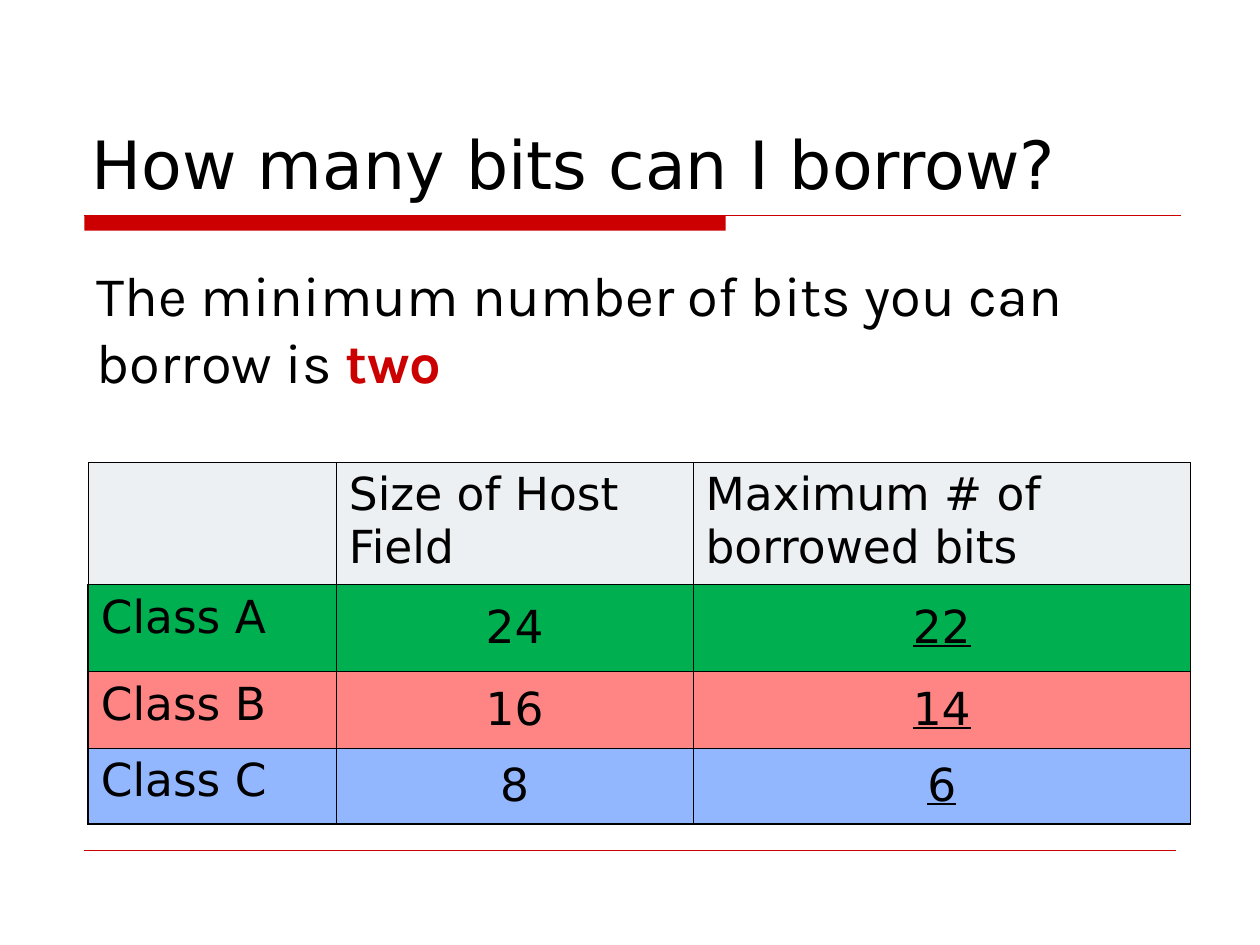
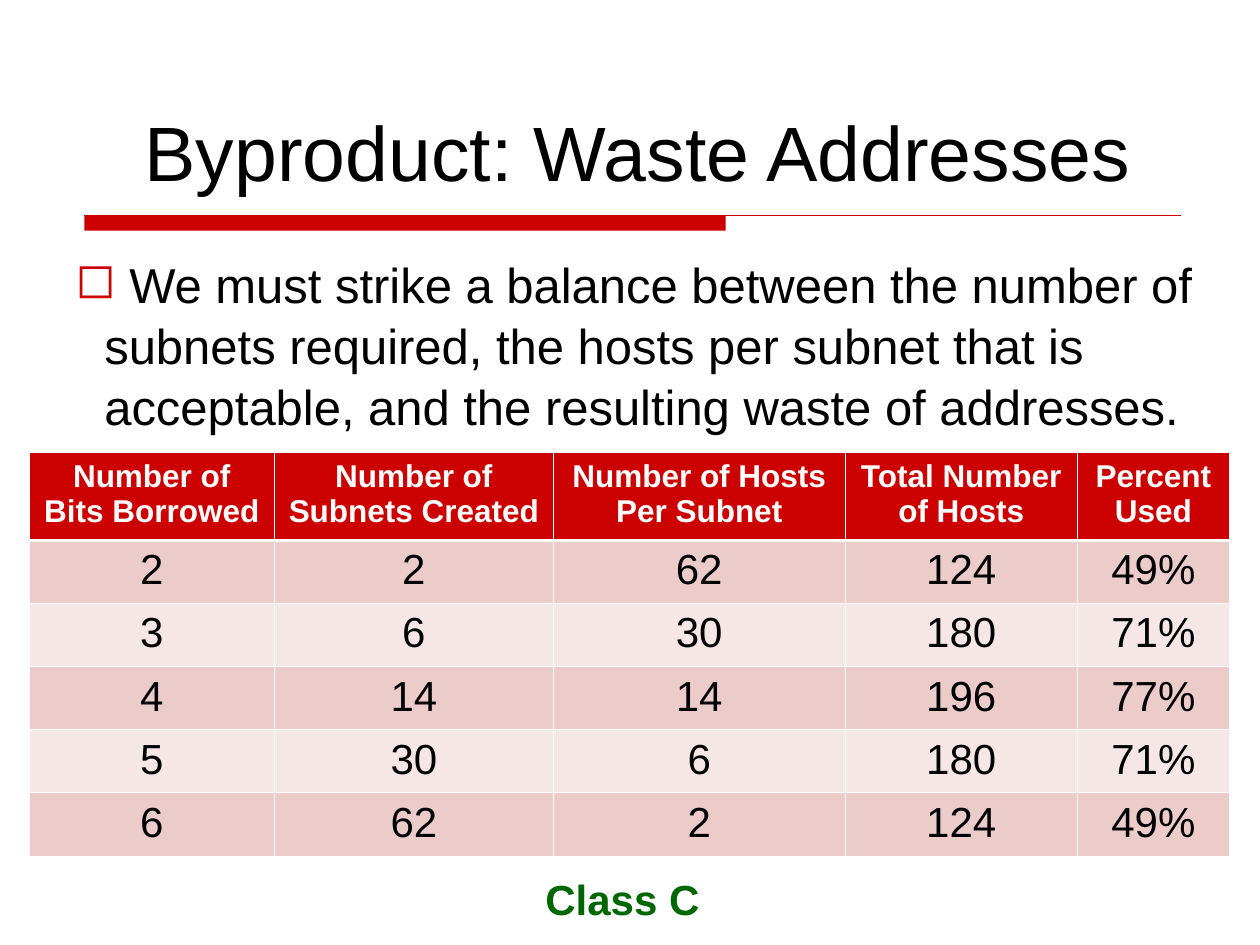
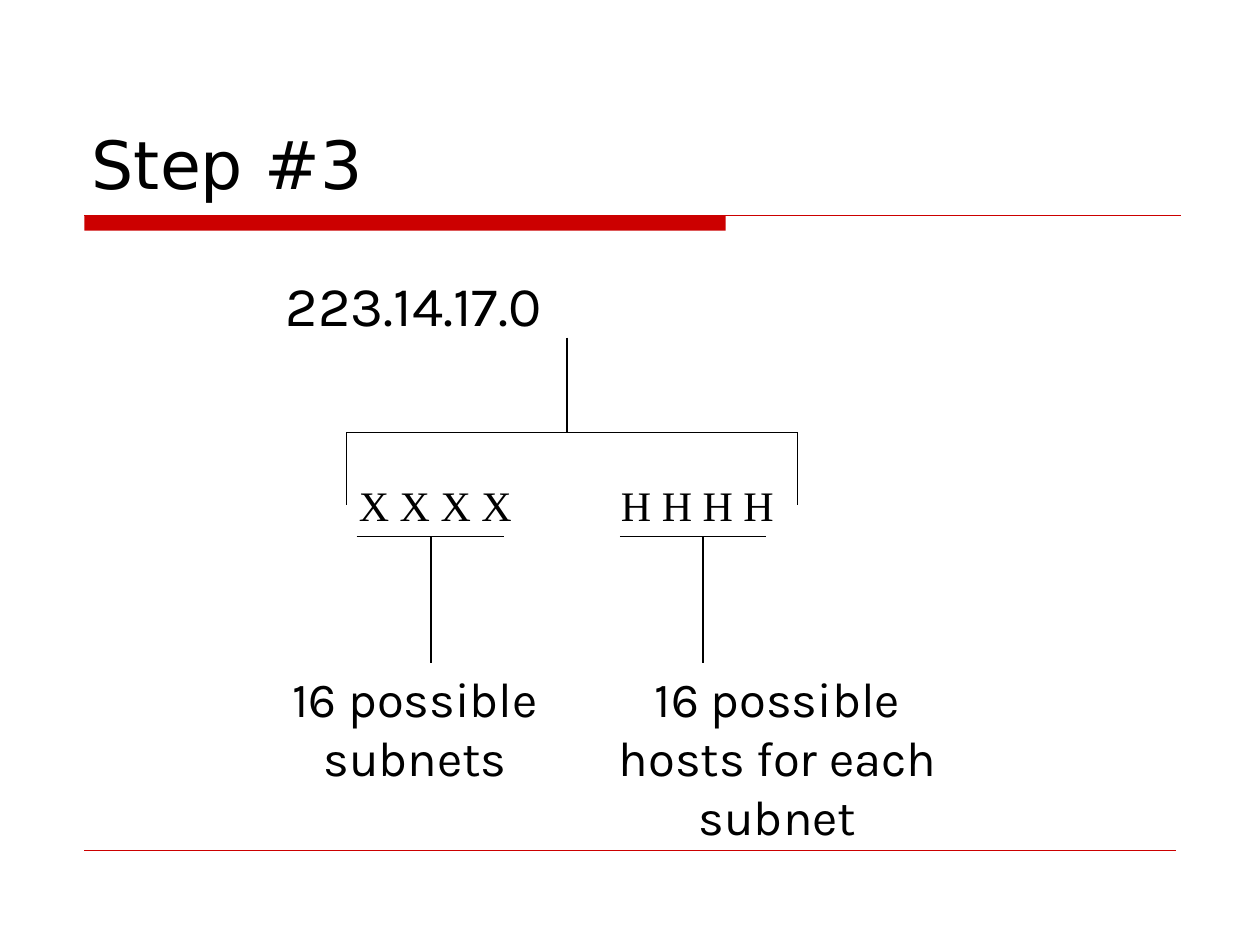
import pptx
import pptx.dml.color
import pptx.enum.shapes
import pptx.enum.text
import pptx.oxml
import pptx.oxml.ns
import pptx.util
from lxml import etree

Inches = pptx.util.Inches
Pt = pptx.util.Pt
ALIGN = pptx.enum.text.PP_ALIGN
ANCHOR = pptx.enum.text.MSO_ANCHOR
qn = pptx.oxml.ns.qn

COLORS = {
    "black": "000000", "white": "FFFFFF", "red": "CC0000", "green": "006600",
    "header": "EDF0F3", "class_a": "00B050", "class_b": "FF8585", "class_c": "93B7FF",
    "odd_row": "ECCBCB", "even_row": "F6E7E7",
}
TITLE_FONT, BODY_FONT, PLAIN_FONT, BITS_FONT = "DejaVu Sans", "Karla", "Arial", "Times New Roman"


def rgb(color):
    return pptx.dml.color.RGBColor.from_string(COLORS[color])


def format_run(run, font, size, color="black", bold=False, underline=False):
    run.font.name = font
    run.font.size = Pt(size)
    run.font.color.rgb = rgb(color)
    run.font.bold = bold
    run.font.underline = underline


def add_text(slide, text, left, top, width, height, font, size,
             color="black", bold=False, align=ALIGN.LEFT, anchor=ANCHOR.TOP):
    """Add a one-paragraph text box and return its paragraph."""
    frame = slide.shapes.add_textbox(
        Inches(left), Inches(top), Inches(width), Inches(height)).text_frame
    frame.word_wrap = True
    frame.vertical_anchor = anchor
    frame.text = text
    paragraph = frame.paragraphs[0]
    paragraph.alignment = align
    format_run(paragraph.runs[0], font, size, color, bold)
    return paragraph


def add_line(slide, x1, y1, x2, y2, color="black", width=0.75):
    line = slide.shapes.add_connector(
        pptx.enum.shapes.MSO_CONNECTOR.STRAIGHT,
        Inches(x1), Inches(y1), Inches(x2), Inches(y2))
    line.line.color.rgb = rgb(color)
    line.line.width = Pt(width)
    etree.SubElement(line._element.spPr, qn("a:effectLst"))


def add_title(slide, text):
    add_text(slide, text, 0.63, 0.33, 8.75, 1.33, TITLE_FONT, 38, anchor=ANCHOR.BOTTOM)


def new_slide(deck):
    """Add a blank slide with the red title band and the footer rule."""
    slide = deck.slides.add_slide(deck.slide_layouts[6])
    band = slide.shapes.add_shape(
        pptx.enum.shapes.MSO_SHAPE.RECTANGLE,
        Inches(0.67), Inches(1.71), Inches(5.09), Inches(0.12))
    band.shadow.inherit = False
    band.fill.solid()
    band.fill.fore_color.rgb = rgb("red")
    band.line.fill.background()
    add_line(slide, 0.67, 1.71, 9.37, 1.71, "red")
    add_line(slide, 0.67, 6.75, 9.33, 6.75, "red", 0.25)
    return slide


def set_bullet(paragraph, symbol, color, indent):
    properties = paragraph._p.get_or_add_pPr()
    properties.set("marL", str(Inches(indent)))
    properties.set("indent", str(-Inches(indent)))
    bullet_color = etree.SubElement(properties, qn("a:buClr"))
    etree.SubElement(bullet_color, qn("a:srgbClr"), val=COLORS[color])
    etree.SubElement(properties, qn("a:buChar"), char=symbol)


def set_borders(cell, color, **widths):
    """Draw all four borders, 0.45 pt wide unless widths names a side (L, R, T, B)."""
    properties = cell._tc.get_or_add_tcPr()
    for position, side in enumerate("LRTB"):
        border = etree.Element(qn(f"a:ln{side}"), w=str(Pt(widths.get(side, 0.45))))
        fill = etree.SubElement(border, qn("a:solidFill"))
        etree.SubElement(fill, qn("a:srgbClr"), val=COLORS[color])
        properties.insert(position, border)


def add_grid(slide, left, top, column_widths, row_heights):
    table = slide.shapes.add_table(
        len(row_heights), len(column_widths), Inches(left), Inches(top),
        Inches(sum(column_widths)), Inches(sum(row_heights))).table
    table.first_row = table.horz_banding = False
    for column, width in zip(table.columns, column_widths):
        column.width = Inches(width)
    for row, height in zip(table.rows, row_heights):
        row.height = Inches(height)
    return table


def fill_cell(cell, text, fill, font, size, align=ALIGN.LEFT, anchor=ANCHOR.TOP, **style):
    cell.fill.solid()
    cell.fill.fore_color.rgb = rgb(fill)
    cell.vertical_anchor = anchor
    cell.text = text
    paragraph = cell.text_frame.paragraphs[0]
    paragraph.alignment = align
    for run in paragraph.runs:
        format_run(run, font, size, **style)


def build_borrowing(deck):
    slide = new_slide(deck)
    add_title(slide, "How many bits can I borrow?")

    rows = [
        ("header", "", "Size of Host Field", "Maximum # of borrowed bits"),
        ("class_a", "Class A", "24", "22"),
        ("class_b", "Class B", "16", "14"),
        ("class_c", "Class C", "8", "6"),
    ]
    table = add_grid(slide, 0.7, 3.67, [1.97, 2.83, 3.95], [0.97, 0.69, 0.61, 0.6])
    for r, (fill, *texts) in enumerate(rows):
        for c, text in enumerate(texts):
            cell = table.cell(r, c)
            is_number = r > 0 and c > 0
            fill_cell(cell, text, fill, TITLE_FONT, 26,
                      ALIGN.CENTER if is_number else ALIGN.LEFT,
                      ANCHOR.MIDDLE if is_number else ANCHOR.TOP,
                      underline=is_number and c == 2)
            outer = {"L": r > 0 and c == 0, "R": c == 2, "B": r == 3}
            set_borders(cell, "black", **{side: 1.08 for side, on in outer.items() if on})

    minimum = add_text(slide, "The minimum number of bits you can borrow is ",
                       0.67, 2.02, 8.25, 1.17, BODY_FONT, 32)
    answer = minimum.add_run()
    answer.text = "two"
    format_run(answer, BODY_FONT, 32, "red", bold=True)


def build_waste(deck):
    slide = new_slide(deck)
    balance = add_text(
        slide,
        " We must strike a balance between the number of subnets required, the hosts per "
        "subnet that is acceptable, and the resulting waste of addresses.",
        0.5, 1.95, 9.5, 1.5, PLAIN_FONT, 28)
    balance.line_spacing = 1.04
    balance.space_before = balance.space_after = Pt(5)
    set_bullet(balance, "◻", "red", 0.23)

    headings = ["Number of Bits Borrowed", "Number of Subnets Created",
                "Number of Hosts Per Subnet", "Total Number of Hosts", "Percent Used"]
    rows = [
        ("2", "2", "62", "124", "49%"),
        ("3", "6", "30", "180", "71%"),
        ("4", "14", "14", "196", "77%"),
        ("5", "30", "6", "180", "71%"),
        ("6", "62", "2", "124", "49%"),
    ]
    table = add_grid(slide, 0.23, 3.59, [1.95, 2.21, 2.32, 1.84, 1.21],
                     [0.7] + [0.5] * len(rows))
    for c, heading in enumerate(headings):
        cell = table.cell(0, c)
        fill_cell(cell, heading, "red", PLAIN_FONT, 18, ALIGN.CENTER, color="white", bold=True)
        set_borders(cell, "white", B=1.47)
    for r, values in enumerate(rows, start=1):
        for c, value in enumerate(values):
            cell = table.cell(r, c)
            fill_cell(cell, value, "odd_row" if r % 2 else "even_row",
                      PLAIN_FONT, 24, ALIGN.CENTER)
            set_borders(cell, "white", T=1.47 if r == 1 else 0.45)

    add_text(slide, "Byproduct: Waste Addresses", 1.05, 0.78, 8.08, 0.84, PLAIN_FONT, 44)
    add_text(slide, "Class C", 4.23, 6.88, 1.51, 0.5, PLAIN_FONT, 24, "green", bold=True)


def add_bit_field(slide, bits, text_left, text_width, rule_left, rule_right, stem):
    """Add four underlined bits with a stem that leads down to their meaning."""
    add_text(slide, bits, text_left, 3.76, text_width, 0.5, BITS_FONT, 24)
    add_line(slide, rule_left, 4.26, rule_right, 4.26)
    add_line(slide, stem, 4.26, stem, 5.26)


def build_step(deck):
    slide = new_slide(deck)
    add_title(slide, "Step #3")
    add_text(slide, "223.14.17.0", 2.17, 2.1, 2.58, 0.64, BODY_FONT, 32)

    split_left, split_right, split_top = 2.75, 6.33, 3.43
    add_line(slide, 4.5, 2.68, 4.5, split_top)
    add_line(slide, split_left, split_top, split_right, split_top)
    for side in (split_left, split_right):
        add_line(slide, side, split_top, side, 4.01)

    add_bit_field(slide, "X X X X", 2.75, 1.67, 2.83, 4, 3.42)
    add_bit_field(slide, "H H H H", 4.83, 1.5, 4.92, 6.08, 5.58)
    add_text(slide, "16 possible subnets", 2.17, 5.26, 2.25, 1.04,
             BODY_FONT, 28, align=ALIGN.CENTER)
    add_text(slide, "16 possible hosts for each subnet", 4.67, 5.26, 3, 1.5,
             BODY_FONT, 28, align=ALIGN.CENTER)


def main():
    deck = pptx.Presentation()
    deck.slide_width, deck.slide_height = Inches(10), Inches(7.5)
    build_borrowing(deck)
    build_waste(deck)
    build_step(deck)
    deck.save("out.pptx")


if __name__ == "__main__":
    main()
